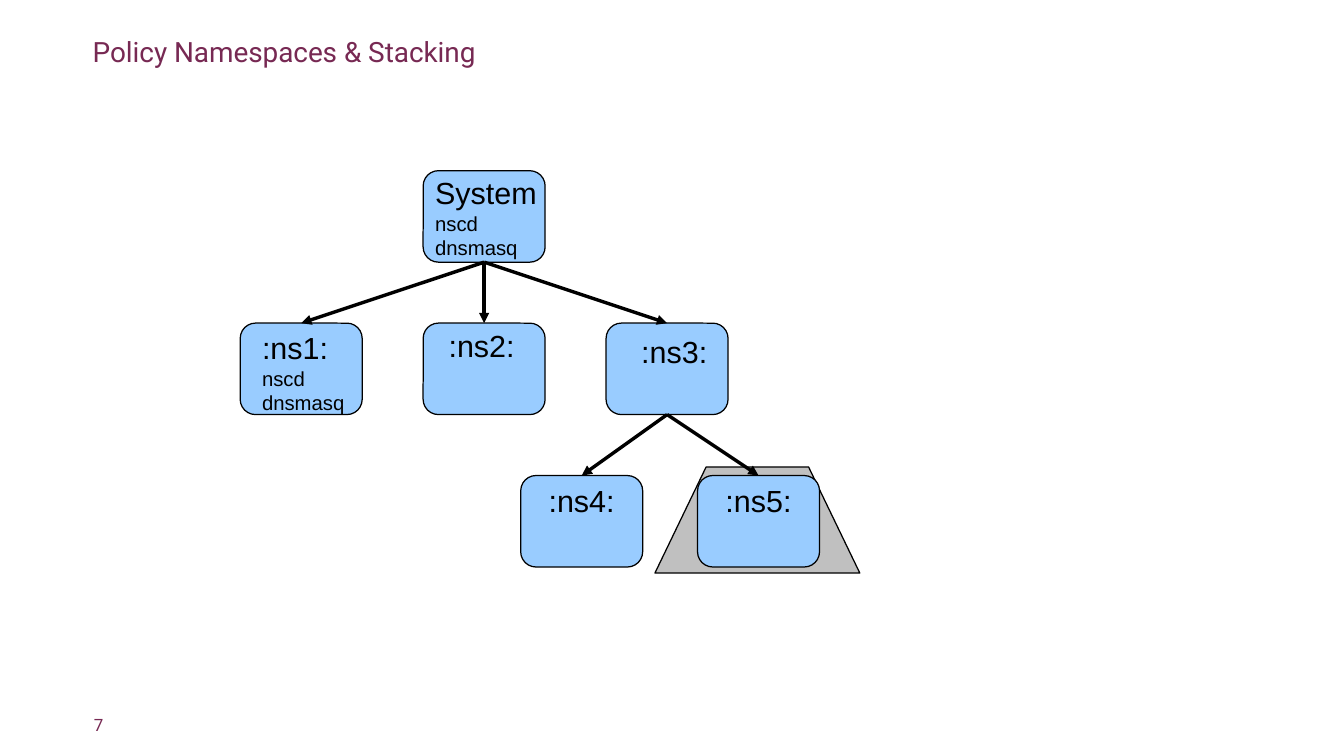
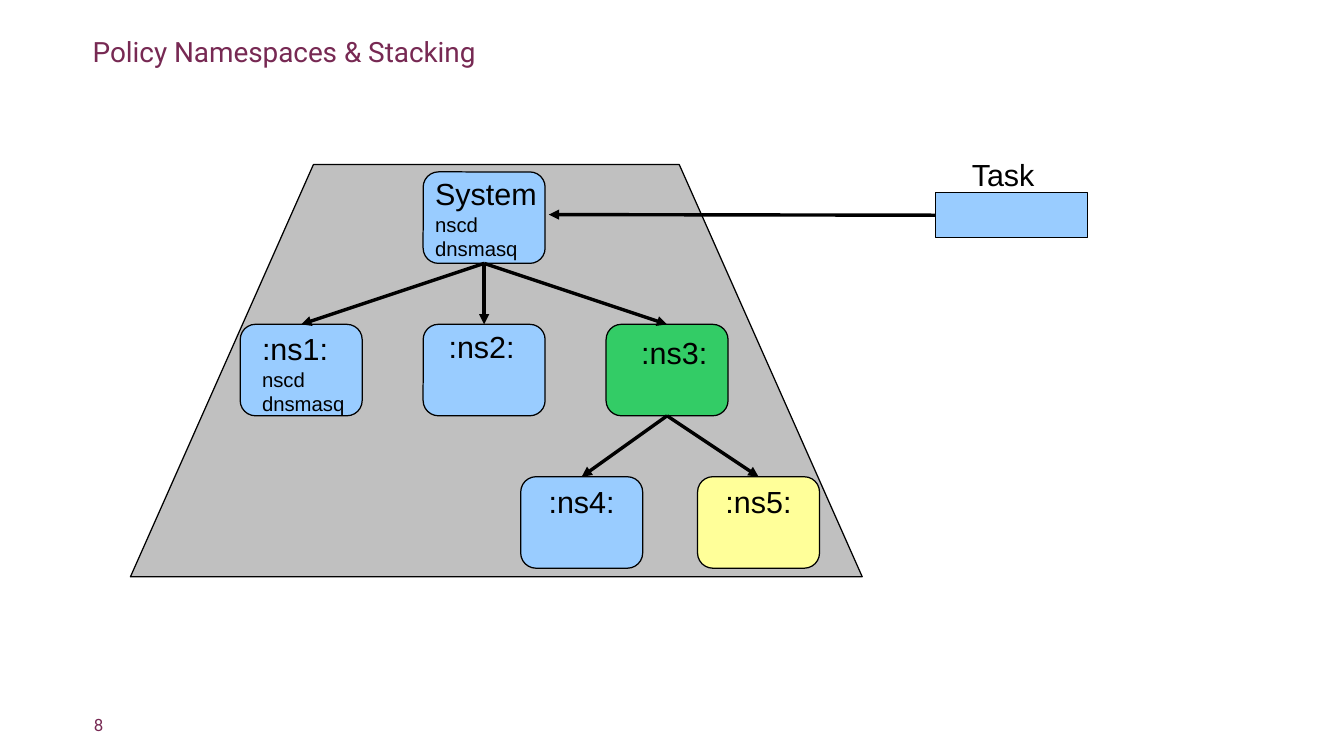
from lxml import etree
from pptx import Presentation
from pptx.dml.color import RGBColor
from pptx.enum.shapes import MSO_CONNECTOR, MSO_SHAPE
from pptx.enum.text import MSO_ANCHOR, MSO_AUTO_SIZE, PP_ALIGN
from pptx.oxml.ns import qn
from pptx.util import Inches, Pt

STRAIGHT = MSO_CONNECTOR.STRAIGHT
RECT, ROUNDED = MSO_SHAPE.RECTANGLE, MSO_SHAPE.ROUNDED_RECTANGLE
TOP, MIDDLE, LEFT = MSO_ANCHOR.TOP, MSO_ANCHOR.MIDDLE, PP_ALIGN.LEFT
NO_FIT = MSO_AUTO_SIZE.NONE
SIDE_TOP, SIDE_LEFT, SIDE_BOTTOM = 0, 1, 2

COLORS = {"plum": "772953", "black": "000000", "blue": "99CCFF",
          "gray": "C0C0C0", "green": "33CC66", "yellow": "FFFF99"}
BODY_FONT, BRAND_FONT = "Arial", "Roboto"
TITLE = "Policy Namespaces & Stacking"

BOX_W, BOX_H, ROW_STEP = 1, 0.75, 1.25
SERVICES = ["nscd", "dnsmasq"]
# name: (left, row, label dx, label dy, label width, detail lines)
NODES = {
    "ns4": (4.27, 2, 0.13, 0, 0.74, [":ns4:"]),
    "ns2": (3.47, 1, 0.11, -0.02, 0.74, [":ns2:"]),
    "ns1": (1.97, 1, 0.08, 0, 0.88, [":ns1:"] + SERVICES),
    "ns3": (4.97, 1, 0.19, 0.03, 0.74, [":ns3:"]),
    "ns5": (5.72, 2, 0.13, 0, 0.74, [":ns5:"]),
    "system": (3.47, 0, 0, -0.02, 1.03, ["System"] + SERVICES),
}
EDGES = [("system", "ns1"), ("system", "ns2"), ("system", "ns3"),
         ("ns3", "ns4"), ("ns3", "ns5")]
SLIDES = [
    {"number": "7", "top": 1.4, "fills": {}, "task": False,
     "scope": [(5.37, 4.7), (7.05, 4.7), (6.63, 3.83), (5.79, 3.83)]},
    {"number": "8", "top": 1.41, "task": True,
     "fills": {"ns3": "green", "ns5": "yellow"},
     "scope": [(1.07, 4.73), (7.07, 4.73), (5.57, 1.35), (2.57, 1.35)]},
]


def rgb(name):
    return RGBColor.from_string(COLORS[name])


def paint(sp, fill):
    sp.shadow.inherit = False
    sp.fill.solid()
    sp.fill.fore_color.rgb = rgb(fill)
    sp.line.color.rgb = rgb("black")
    sp.line.width = Pt(0)


def add_run(p, text, size, font, color):
    r = p.add_run()
    r.text = text
    r.font.size = Pt(size)
    r.font.name = font
    r.font.color.rgb = rgb(color)


def set_frame(tf, anchor, wrap, margins=(0, 0)):
    tf.auto_size = NO_FIT
    tf.word_wrap = wrap
    tf.vertical_anchor = anchor
    tf.margin_left = tf.margin_right = Inches(margins[0])
    tf.margin_top = tf.margin_bottom = Inches(margins[1])


def add_box(s, kind, x, y, w, h, fill):
    sp = s.shapes.add_shape(kind, Inches(x), Inches(y), Inches(w), Inches(h))
    paint(sp, fill)
    return sp


def add_label(s, x, y, w, lines):
    h = BOX_H if len(lines) > 1 else 0.38
    tf = s.shapes.add_textbox(Inches(x), Inches(y), Inches(w), Inches(h)).text_frame
    set_frame(tf, TOP, False, (0.1, 0.05))
    for i, text in enumerate(lines):
        p = tf.add_paragraph() if i else tf.paragraphs[0]
        p.alignment = LEFT
        add_run(p, text, 12 if i else 18, BODY_FONT, "black")


def add_arrow(s, start, side, end=(0, 0), target=None):
    x, y = map(Inches, end)
    c = s.shapes.add_connector(STRAIGHT, x, y, x, y)
    c.begin_connect(start, side)
    if target is not None:
        c.end_connect(target, SIDE_TOP)
    c.line.color.rgb = rgb("black")
    c.line.width = Pt(0)
    etree.SubElement(c.line._get_or_add_ln(), qn("a:tailEnd"), type="triangle")
    etree.SubElement(c._element.spPr, qn("a:effectLst"))


def add_scope(s, points):
    pts = [(Inches(x), Inches(y)) for x, y in points]
    builder = s.shapes.build_freeform(*pts[0])
    builder.add_line_segments(pts[1:], close=True)
    paint(builder.convert_to_shape(), "gray")


def add_frame(prs, number):
    s = prs.slides.add_slide(prs.slide_layouts[5])
    title = s.shapes.title
    title.left, title.top = Inches(0.76), Inches(0.32)
    title.width, title.height = Inches(8.45), Inches(0.21)
    footer = s.shapes.add_textbox(Inches(0.77), Inches(5.86), Inches(5.37), Inches(0.19))
    for sp, anchor, text, size in ((title, MIDDLE, TITLE, 16.5), (footer, TOP, number, 10)):
        set_frame(sp.text_frame, anchor, True)
        p = sp.text_frame.paragraphs[0]
        p.alignment = LEFT
        add_run(p, text, size, BRAND_FONT, "plum")
    return s


def add_tree(s, top, fills):
    boxes = {}
    for name, (x, row, *_) in NODES.items():
        boxes[name] = add_box(s, ROUNDED, x, top + row * ROW_STEP, BOX_W, BOX_H,
                              fills.get(name, "blue"))
    for parent, child in EDGES:
        add_arrow(s, boxes[parent], SIDE_BOTTOM, target=boxes[child])
    for x, row, dx, dy, w, lines in NODES.values():
        add_label(s, x + dx, top + row * ROW_STEP + dy, w, lines)


def add_task(s):
    task = add_box(s, RECT, 7.67, 1.58, 1.25, 0.37, "blue")
    add_arrow(s, task, SIDE_LEFT, end=(4.5, 1.76))
    add_label(s, 7.87, 1.23, 0.71, ["Task"])


def main():
    prs = Presentation()
    prs.slide_width, prs.slide_height = Inches(11.02), Inches(6.2)
    for slide in SLIDES:
        s = add_frame(prs, slide["number"])
        add_scope(s, slide["scope"])
        add_tree(s, slide["top"], slide["fills"])
        if slide["task"]:
            add_task(s)
    prs.save("out.pptx")


if __name__ == "__main__":
    main()
